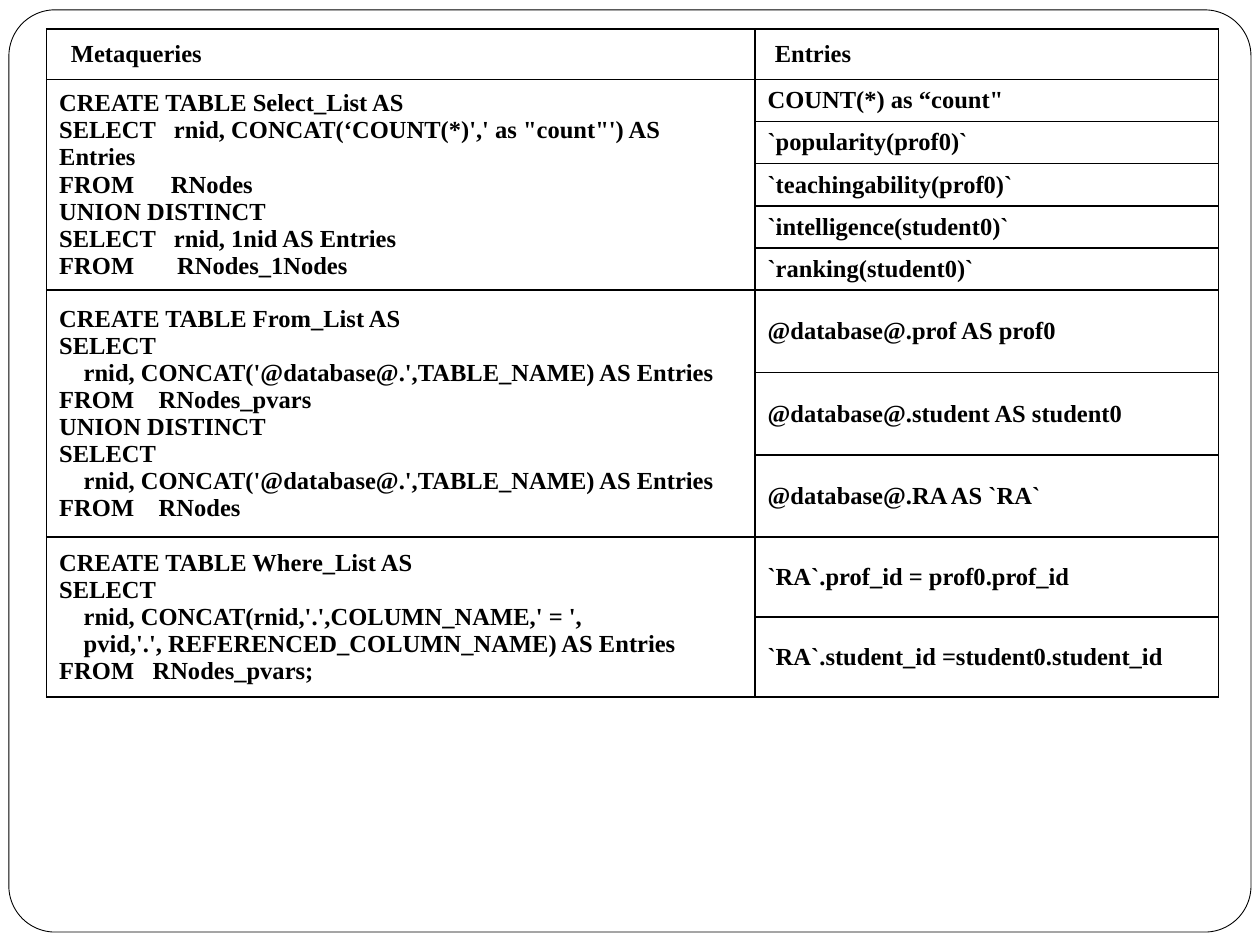
from lxml.etree import fromstring
from pptx import Presentation
from pptx.dml.color import RGBColor
from pptx.enum.shapes import MSO_SHAPE
from pptx.enum.text import MSO_ANCHOR
from pptx.util import Cm, Pt

COLORS = {"ink": "000000", "paper": "FFFFFF"}
NAMESPACE = "http://schemas.openxmlformats.org/drawingml/2006/main"
COLUMN_WIDTHS = [14.28, 9.34]
HEADER_HEIGHT = 1.02
SECTIONS = [
    (
        0.85,
        [
            "CREATE TABLE Select_List AS",
            "SELECT   rnid, CONCAT(‘COUNT(*)',' as \"count\"') AS Entries",
            "FROM      RNodes",
            "UNION DISTINCT",
            "SELECT   rnid, 1nid AS Entries",
            "FROM       RNodes_1Nodes",
        ],
        [
            "COUNT(*) as “count\"",
            "`popularity(prof0)`",
            "`teachingability(prof0)`",
            "`intelligence(student0)`",
            "`ranking(student0)`",
        ],
    ),
    (
        1.66,
        [
            "CREATE TABLE From_List AS",
            "SELECT",
            "    rnid, CONCAT('@database@.',TABLE_NAME) AS Entries",
            "FROM    RNodes_pvars",
            "UNION DISTINCT",
            "SELECT",
            "    rnid, CONCAT('@database@.',TABLE_NAME) AS Entries",
            "FROM    RNodes",
        ],
        [
            "@database@.prof AS prof0",
            "@database@.student AS student0",
            "@database@.RA AS `RA`",
        ],
    ),
    (
        1.61,
        [
            "CREATE TABLE Where_List AS",
            "SELECT",
            "    rnid, CONCAT(rnid,'.',COLUMN_NAME,' = ',",
            "    pvid,'.', REFERENCED_COLUMN_NAME) AS Entries",
            "FROM   RNodes_pvars;",
        ],
        ["`RA`.prof_id = prof0.prof_id", "`RA`.student_id =student0.student_id"],
    ),
]


def color(name):
    return RGBColor.from_string(COLORS[name])


def write_cell(cell, lines):
    cell.vertical_anchor = MSO_ANCHOR.MIDDLE
    cell.text = "\n".join(lines)
    for para in cell.text_frame.paragraphs:
        para.font.name = "Times New Roman"
        para.font.size = Pt(14)
        para.font.bold = True
        para.font.color.rgb = color("ink")


deck = Presentation()
deck.slide_width, deck.slide_height = Cm(25.4), Cm(19.05)
page = deck.slides.add_slide(deck.slide_layouts[6])

frame = page.shapes.add_shape(
    MSO_SHAPE.ROUNDED_RECTANGLE, Cm(0.18), Cm(0.2), Cm(25.04), Cm(18.59)
)
frame.adjustments[0] = 0.05
frame.shadow.inherit = False
frame.fill.solid()
frame.fill.fore_color.rgb = color("paper")
frame.line.color.rgb = color("ink")
frame.line.width = Pt(0.5)

row_heights = [HEADER_HEIGHT]
for height, query, entries in SECTIONS:
    row_heights += [height] * len(entries)

table = page.shapes.add_table(
    len(row_heights), 2, Cm(0.94), Cm(0.58),
    Cm(sum(COLUMN_WIDTHS)), Cm(sum(row_heights)),
).table
for column, width in zip(table.columns, COLUMN_WIDTHS):
    column.width = Cm(width)
for row, height in zip(table.rows, row_heights):
    row.height = Cm(height)

for index, (heading, indent) in enumerate([("Metaqueries", 0.49), ("Entries", 0.4)]):
    cell = table.cell(0, index)
    write_cell(cell, [heading])
    cell.margin_left = Cm(indent)
    cell.margin_right = cell.margin_top = cell.margin_bottom = 0

first = 1
for height, query, entries in SECTIONS:
    last = first + len(entries) - 1
    table.cell(first, 0).merge(table.cell(last, 0))
    write_cell(table.cell(first, 0), query)
    for offset, entry in enumerate(entries):
        write_cell(table.cell(first + offset, 1), [entry])
    first = last + 1

for cell in table.iter_cells():
    cell.fill.solid()
    cell.fill.fore_color.rgb = color("paper")
    properties = cell._tc.get_or_add_tcPr()
    for position, side in enumerate("LRTB"):
        border = fromstring(
            f'<a:ln{side} xmlns:a="{NAMESPACE}" w="{Pt(1)}"><a:solidFill>'
            f'<a:srgbClr val="{COLORS["ink"]}"/></a:solidFill></a:ln{side}>'
        )
        properties.insert(position, border)

deck.save("out.pptx")
